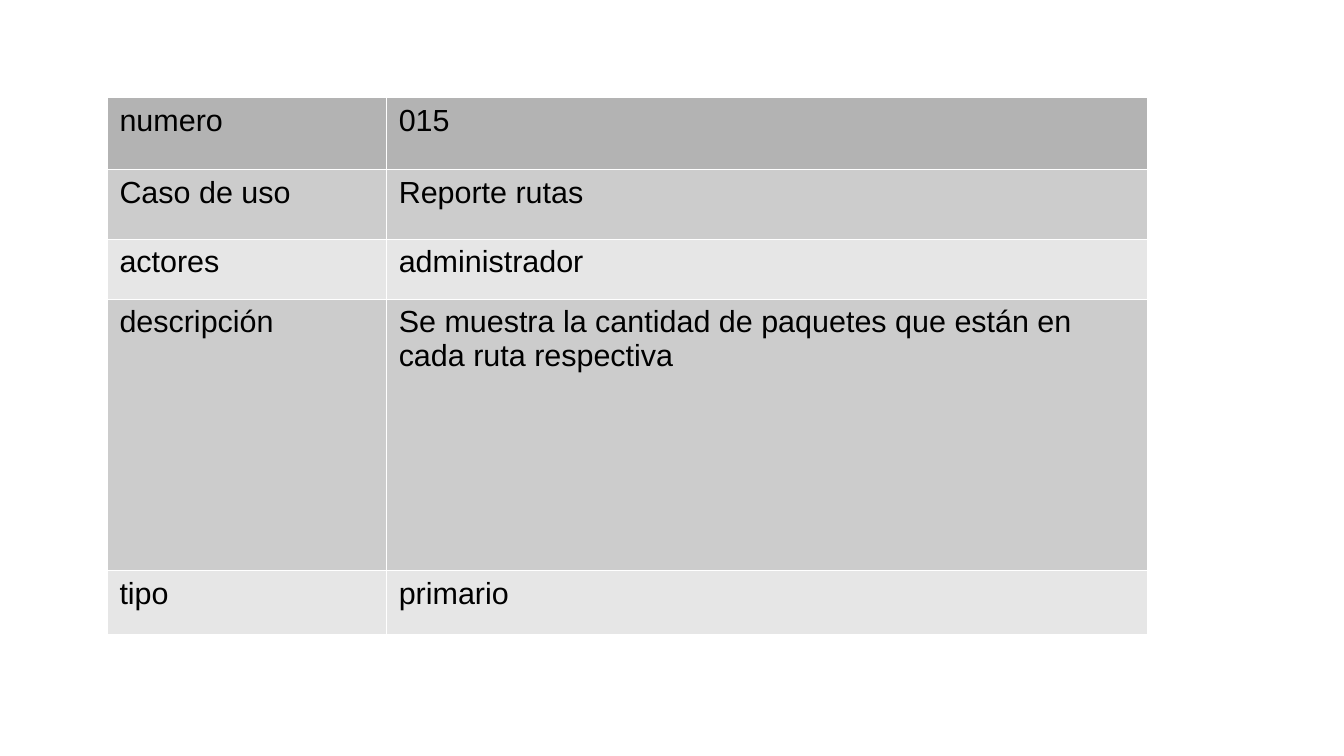
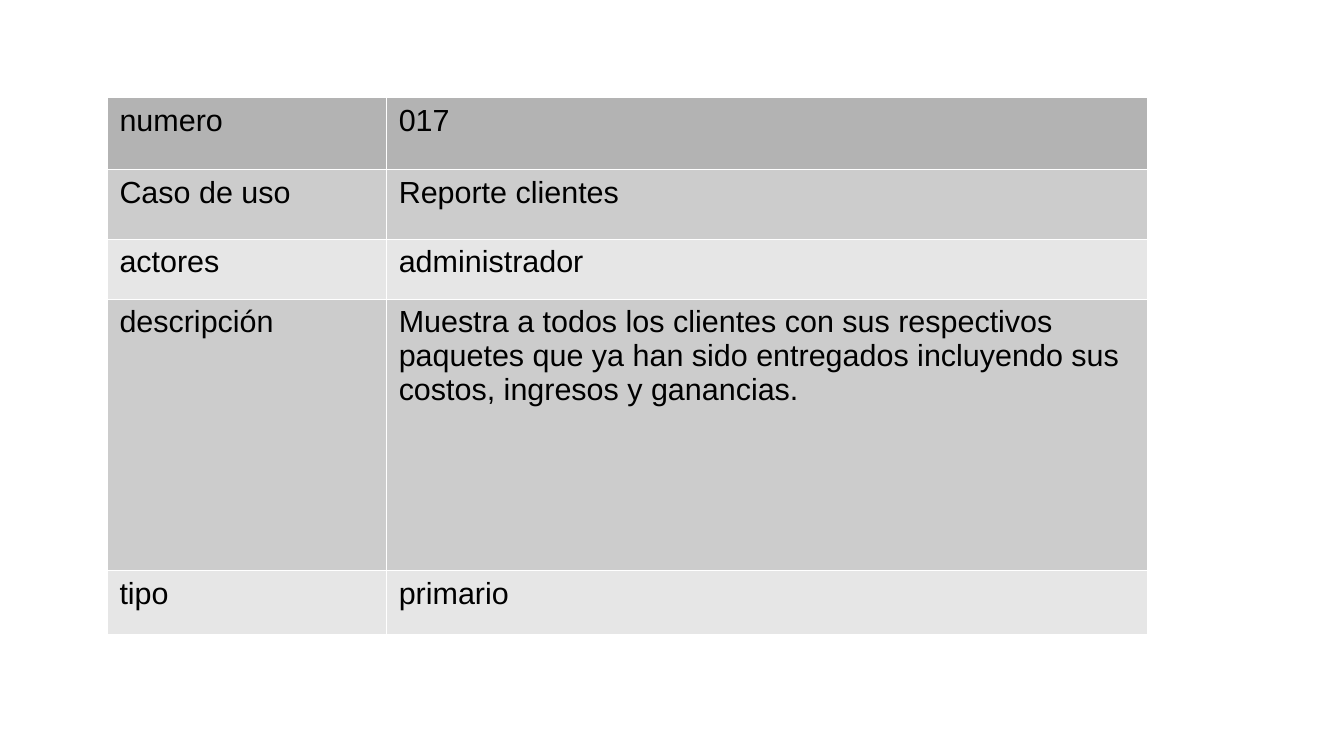
from lxml.etree import SubElement
from pptx import Presentation
from pptx.dml.color import RGBColor
from pptx.oxml.ns import qn
from pptx.util import Inches, Pt

LABELS = ["numero", "Caso de uso", "actores", "descripción", "tipo"]
CASES = [
    ["015", "Reporte rutas", "administrador",
     "Se muestra la cantidad de paquetes que están en cada ruta respectiva",
     "primario"],
    ["017", "Reporte clientes", "administrador",
     "Muestra a todos los clientes con sus respectivos paquetes que ya han "
     "sido entregados incluyendo sus costos, ingresos y ganancias.",
     "primario"],
]


def paint(target, color):
    target.fill.solid()
    target.fill.fore_color.rgb = RGBColor.from_string(color)


class Deck:
    """Builds use-case slides in one shared style."""

    font, size, ink = "Arial", Pt(18), "000000"
    head, bands = "B3B3B3", ("E6E6E6", "CCCCCC")
    rule, weight = "FFFFFF", Pt(0.06)
    left, top = Inches(0.88), Inches(0.8)
    cols = [Inches(w) for w in (2.29, 6.24)]
    rows = [Inches(h) for h in (0.59, 0.57, 0.49, 2.23, 0.52)]

    def __init__(self):
        self.show = Presentation()
        self.show.slide_width = Inches(11.02)
        self.show.slide_height = Inches(6.2)
        self.slide = None

    def page(self):
        self.slide = self.show.slides.add_slide(self.show.slide_layouts[6])
        paint(self.slide.background, "FFFFFF")

    def border(self, cell):
        props = cell._tc.get_or_add_tcPr()
        for side in ("lnL", "lnR", "lnT", "lnB"):
            line = SubElement(props, qn("a:" + side), w=str(int(self.weight)))
            fill = SubElement(line, qn("a:solidFill"))
            SubElement(fill, qn("a:srgbClr"), val=self.rule)

    def cell(self, cell, text, color):
        self.border(cell)
        paint(cell, color)
        cell.text_frame.text = text
        font = cell.text_frame.paragraphs[0].runs[0].font
        font.name, font.size, font.bold = self.font, self.size, False
        font.color.rgb = RGBColor.from_string(self.ink)

    def table(self, data):
        grid = self.slide.shapes.add_table(
            len(self.rows), len(self.cols), self.left, self.top,
            sum(self.cols), sum(self.rows)).table
        grid.first_row = grid.horz_banding = False
        for col, width in zip(grid.columns, self.cols):
            col.width = width
        for i, (row, height) in enumerate(zip(grid.rows, self.rows)):
            row.height = height
            color = self.bands[i % 2] if i else self.head
            for cell, text in zip(row.cells, data[i]):
                self.cell(cell, text, color)


def main():
    deck = Deck()
    for case in CASES:
        deck.page()
        deck.table(list(zip(LABELS, case)))
    deck.show.save("out.pptx")


if __name__ == "__main__":
    main()
